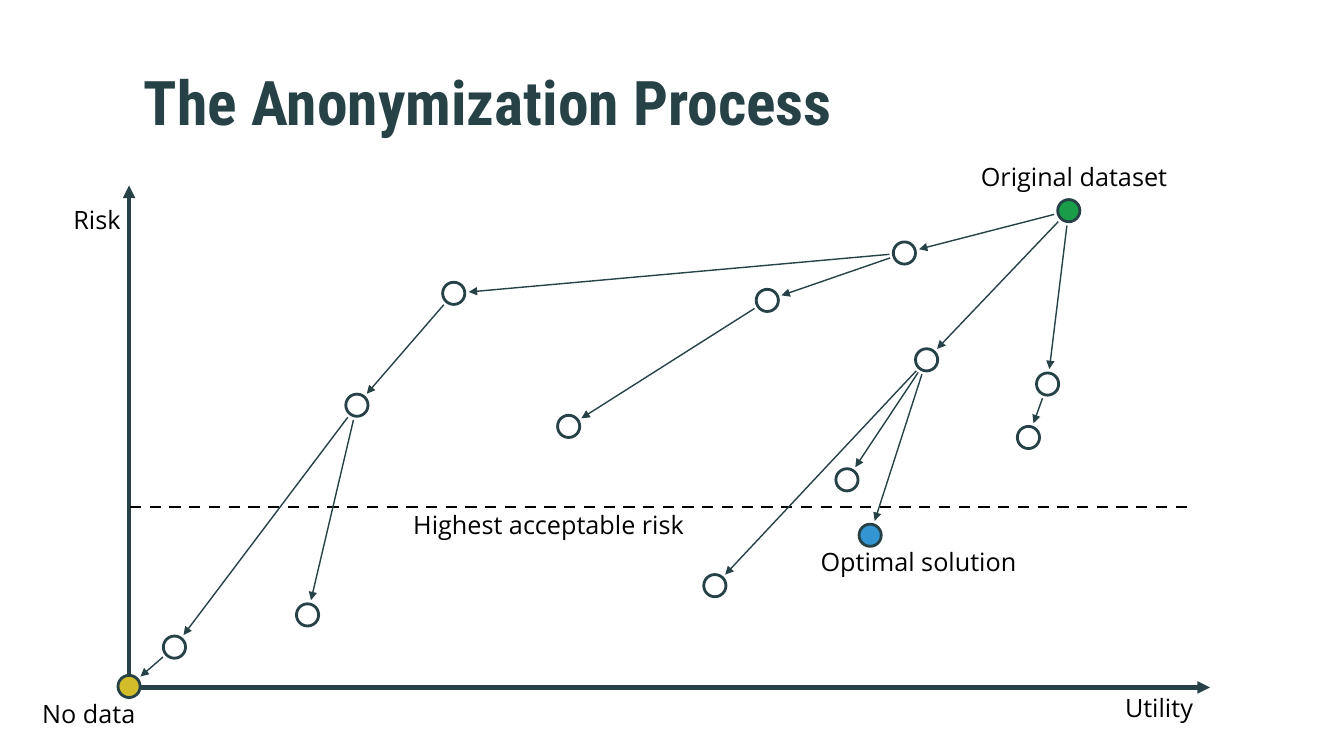
import math
from dataclasses import dataclass

import lxml.etree
import pptx
import pptx.dml.color
import pptx.enum.dml
import pptx.enum.shapes
import pptx.enum.text
import pptx.oxml.ns
import pptx.util

Inches = pptx.util.Inches
Pt = pptx.util.Pt


@dataclass(frozen=True)
class Theme:
    dark: str = "274247"
    black: str = "000000"
    green: str = "1A9D49"
    blue: str = "3396D2"
    gold: str = "D2BC2A"
    head: str = "Roboto Condensed"
    body: str = "Open Sans"
    large: int = 44
    small: int = 18


THEME = Theme()
SIZE = 0.22  # node width
GAP = 0.15   # from node centre to arrow end

# Node centres: name -> (x, y, fill)
NODES = {
    "source": (10.6, 2.09, THEME.green),
    "right": (10.39, 3.81, None),
    "right low": (10.2, 4.34, None),
    "top": (8.97, 2.51, None),
    "top left": (4.5, 2.91, None),
    "inner": (7.61, 2.98, None),
    "inner low": (5.64, 4.23, None),
    "left": (3.54, 4.02, None),
    "left low": (3.05, 6.1, None),
    "near zero": (1.73, 6.42, None),
    "centre": (9.19, 3.57, None),
    "close": (8.4, 4.76, None),
    "low": (7.09, 5.81, None),
    "best": (8.63, 5.31, THEME.blue),
    "none": (1.28, 6.81, THEME.gold),
}

# Each node and the steps that follow it
STEPS = {
    "source": ["top", "centre", "right"],
    "right": ["right low"],
    "top": ["top left", "inner"],
    "inner": ["inner low"],
    "top left": ["left"],
    "left": ["left low", "near zero"],
    "near zero": ["none"],
    "centre": ["close", "low", "best"],
}

# Labels: text, left, top, width
LABELS = [
    ("Utility", 11.06, 6.82, 0.94),
    ("Risk", 0.63, 1.98, 2.21),
    ("Original dataset", 9.63, 1.55, 2.21),
    ("Optimal solution", 8.04, 5.37, 2.21),
    ("Highest acceptable risk", 4, 5, 3.15),
    ("No data", 0.32, 6.88, 1.18),
]


def tint(code):
    return pptx.dml.color.RGBColor.from_string(code)


def write(frame, text, font=THEME.body, size=THEME.small, color=THEME.black,
          bold=False, space=1.0):
    """Put formatted text into a text frame."""
    para = frame.paragraphs[0]
    para.line_spacing = space
    run = para.add_run()
    run.text = text
    run.font.name = font
    run.font.size = Pt(size)
    run.font.bold = bold
    run.font.color.rgb = tint(color)


class Board:
    def __init__(self, theme, slide):
        self.theme = theme
        self.slide = slide

    def text(self, text, left, top, width, height=0.4, **style):
        box = self.slide.shapes.add_textbox(
            Inches(left), Inches(top), Inches(width), Inches(height))
        box.text_frame.word_wrap = True
        write(box.text_frame, text, **style)
        return box.text_frame

    def title(self, text):
        frame = self.text(text, 1.33, 0.6, 10.56, 0.94, font=self.theme.head,
                          size=self.theme.large, color=self.theme.dark,
                          bold=True, space=0.9)
        frame.margin_top = 0
        frame.vertical_anchor = pptx.enum.text.MSO_ANCHOR.MIDDLE

    def line(self, start, end, width=1, color=None, arrow=True, dash=False):
        link = self.slide.shapes.add_connector(
            pptx.enum.shapes.MSO_CONNECTOR.STRAIGHT,
            *[Inches(value) for value in (*start, *end)])
        link.line.width = Pt(width)
        link.line.color.rgb = tint(color or self.theme.dark)
        if dash:
            link.line.dash_style = pptx.enum.dml.MSO_LINE.DASH
        name = pptx.oxml.ns.qn
        if arrow:
            lxml.etree.SubElement(link.line._get_or_add_ln(),
                                  name("a:tailEnd"), type="triangle")
        lxml.etree.SubElement(link._element.spPr, name("a:effectLst"))

    def node(self, x, y, fill):
        dot = self.slide.shapes.add_shape(
            pptx.enum.shapes.MSO_SHAPE.OVAL, Inches(x - SIZE / 2),
            Inches(y - SIZE / 2), Inches(SIZE), Inches(SIZE))
        dot.shadow.inherit = False
        dot.line.width = Pt(2)
        dot.line.color.rgb = tint(self.theme.dark)
        if fill:
            dot.fill.solid()
            dot.fill.fore_color.rgb = tint(fill)
        else:
            dot.fill.background()

    def step(self, first, last):
        """Draw an arrow that stops short of both node centres."""
        (ax, ay, _), (bx, by, _) = first, last
        span = math.hypot(bx - ax, by - ay)
        dx, dy = (bx - ax) * GAP / span, (by - ay) * GAP / span
        self.line((ax + dx, ay + dy), (bx - dx, by - dy))


def main():
    deck = pptx.Presentation()
    deck.slide_width, deck.slide_height = Inches(13.33), Inches(7.5)
    board = Board(THEME, deck.slides.add_slide(deck.slide_layouts[6]))
    board.title("The Anonymization Process")

    # Axes and risk limit
    board.line((1.28, 6.82), (12, 6.82), width=3)
    board.line((1.28, 6.84), (1.28, 1.84), width=3)
    board.line((1.29, 5.03), (11.84, 5.03), width=2, color=THEME.black,
               arrow=False, dash=True)

    # Labels
    for label in LABELS:
        board.text(*label)

    # Nodes and the steps between them
    for node in NODES.values():
        board.node(*node)
    for first, goals in STEPS.items():
        for last in goals:
            board.step(NODES[first], NODES[last])

    deck.save("out.pptx")


if __name__ == "__main__":
    main()
